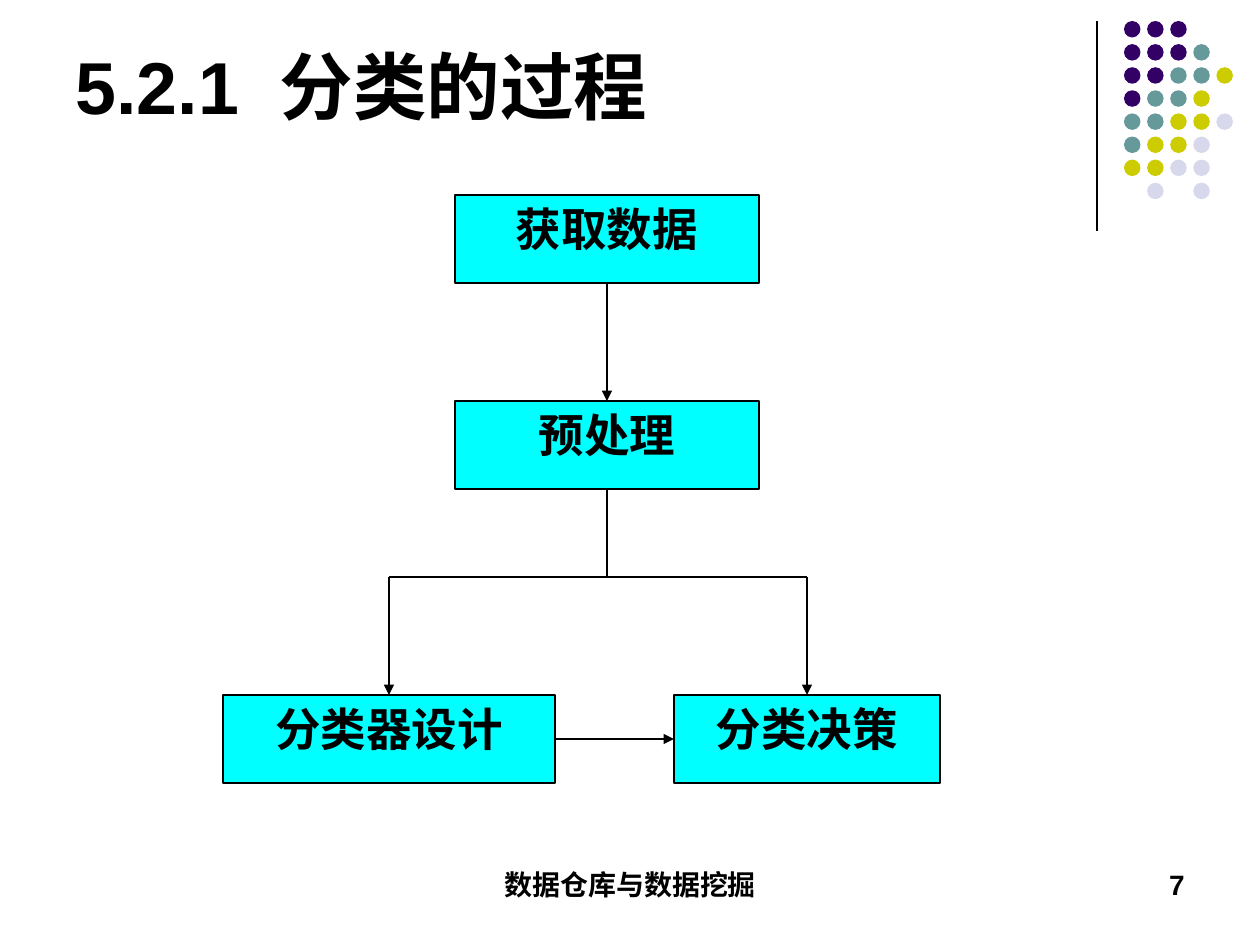
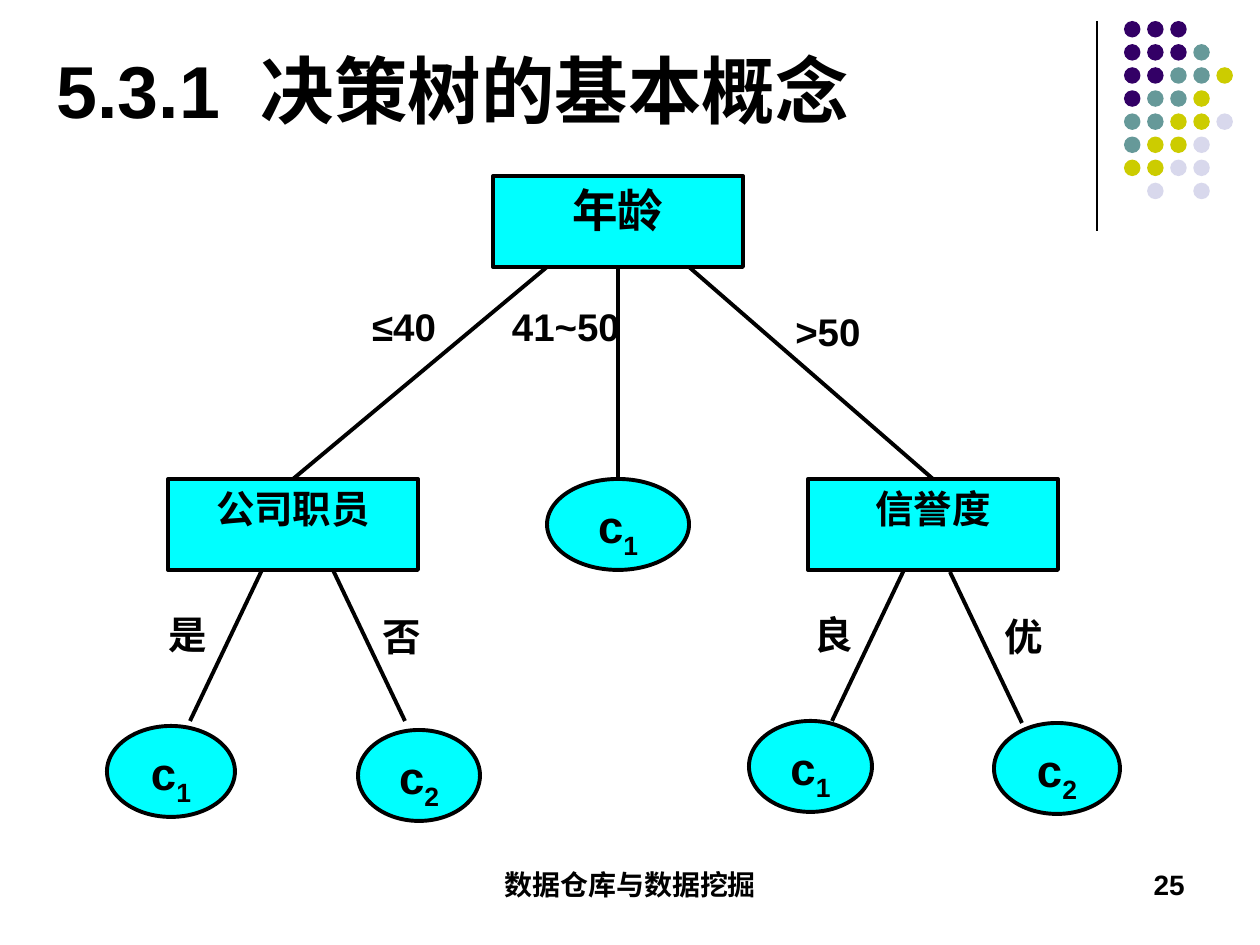
import pptx
import pptx.dml.color
import pptx.enum.shapes
import pptx.enum.text
import pptx.oxml.ns
import pptx.util
from lxml import etree

RGB = pptx.dml.color.RGBColor
SHAPE = pptx.enum.shapes.MSO_SHAPE
ALIGN = pptx.enum.text.PP_ALIGN
ANCHOR = pptx.enum.text.MSO_ANCHOR

BLACK = RGB(0x00, 0x00, 0x00)
CYAN = RGB(0x00, 0xFF, 0xFF)
DOT_COLOURS = {
    "P": RGB(0x33, 0x00, 0x66),
    "T": RGB(0x66, 0x99, 0x99),
    "Y": RGB(0xCC, 0xCC, 0x00),
    "L": RGB(0xD8, 0xD8, 0xEC),
}
DOT_ROWS = ["PPP", "PPPT", "PPTTY", "PTTY", "TTYYL", "TYYL", "YYLL", " L L"]

SANS, SERIF = "Arial", "Times New Roman"
PX_PER_INCH = 126
TOP, LEFT, BOTTOM, RIGHT = range(4)
SUBSCRIPT = {"baseline": "-25000"}
WIDE_SPACE = {"spc": "1150"}


def px(length):
    return round(length * pptx.util.Inches(1) / PX_PER_INCH)


def write(frame, text, size=26, font=SANS, align=ALIGN.CENTER, anchor=ANCHOR.TOP):
    """Fill a frame with a string or with (string, run attributes) pairs."""
    frame.word_wrap = True
    frame.auto_size = pptx.enum.text.MSO_AUTO_SIZE.NONE
    frame.vertical_anchor = anchor
    frame.margin_left = frame.margin_right = pptx.util.Inches(0.1)
    frame.margin_top = frame.margin_bottom = pptx.util.Inches(0.05)
    paragraph = frame.paragraphs[0]
    paragraph.alignment = align
    pieces = [(text, {})] if isinstance(text, str) else text
    for piece, attributes in pieces:
        run = paragraph.add_run()
        run.text = piece
        run.font.name = font
        run.font.size = pptx.util.Pt(size)
        run.font.bold = True
        run.font.color.rgb = BLACK
        for key, value in attributes.items():
            run.font._element.set(key, value)


class Deck:
    def __init__(self):
        self.deck = pptx.Presentation()
        self.deck.slide_width = px(1260)
        self.deck.slide_height = px(945)
        self.stroke = 0.75

    def new_slide(self, section, heading, title_at, number, stroke):
        layout = self.deck.slide_layouts.get_by_name("Title Only")
        self.slide = self.deck.slides.add_slide(layout)
        self.shapes = self.slide.shapes

        # Corner decoration and footer
        self.stroke = 0.75
        self.line((1097, 21), (1097, 231))
        self.dots()
        self.label("数据仓库与数据挖掘", 431, 861, 399, 63, size=16)
        self.label(str(number), 903, 861, 294, 63, size=16, align=ALIGN.RIGHT)
        self.stroke = stroke

        # Title
        title = self.shapes.title
        title.left, title.top = map(px, title_at)
        title.width, title.height = px(1040), px(139)
        write(title.text_frame, [(section, {}), (" ", WIDE_SPACE), (heading, {})],
              size=42, align=ALIGN.LEFT, anchor=ANCHOR.BOTTOM)

    def dots(self, left=1124, top=21, pitch=23.1, diameter=16.5):
        group = self.shapes.add_group_shape()
        for row, codes in enumerate(DOT_ROWS):
            for column, code in enumerate(codes):
                if code in DOT_COLOURS:
                    dot = group.shapes.add_shape(
                        SHAPE.OVAL, px(left + column * pitch), px(top + row * pitch),
                        px(diameter), px(diameter))
                    dot.shadow.inherit = False
                    dot.fill.solid()
                    dot.fill.fore_color.rgb = DOT_COLOURS[code]
                    dot.line.fill.background()

    def label(self, text, x, y, width, height, **style):
        box = self.shapes.add_textbox(px(x), px(y), px(width), px(height))
        write(box.text_frame, text, **style)

    def node(self, text, x, y, width, height, kind=SHAPE.RECTANGLE, font=SERIF, **style):
        node = self.shapes.add_shape(kind, px(x), px(y), px(width), px(height))
        node.shadow.inherit = False
        node.fill.solid()
        node.fill.fore_color.rgb = CYAN
        node.line.color.rgb = BLACK
        node.line.width = pptx.util.Pt(self.stroke)
        write(node.text_frame, text, font=font, **style)
        return node

    def leaf(self, index, x, y, width):
        return self.node([("c", {}), (str(index), SUBSCRIPT)], x, y, width, 91,
                         kind=SHAPE.OVAL, font=SANS)

    def line(self, start, end, arrow=False):
        """Draw a line; each end is an (x, y) point or a (node, side) joint."""
        points = [tuple(map(px, p)) if isinstance(p[0], int) else (0, 0)
                  for p in (start, end)]
        line = self.shapes.add_connector(
            pptx.enum.shapes.MSO_CONNECTOR.STRAIGHT, *points[0], *points[1])
        for joint, connect in ((start, line.begin_connect), (end, line.end_connect)):
            if not isinstance(joint[0], int):
                connect(*joint)
        line.line.color.rgb = BLACK
        line.line.width = pptx.util.Pt(self.stroke)
        qn = pptx.oxml.ns.qn
        if arrow:
            etree.SubElement(line.line._get_or_add_ln(), qn("a:tailEnd"), type="triangle")
        etree.SubElement(line._element.spPr, qn("a:effectLst"))


def classification_process(deck):
    deck.new_slide("5.2.1", "分类的过程", (63, -3), 7, stroke=0.75)

    # Steps
    acquire = deck.node("获取数据", 455, 195, 304, 88)
    preprocess = deck.node("预处理", 455, 401, 304, 88)
    design = deck.node("分类器设计", 223, 695, 332, 88)
    decide = deck.node("分类决策", 674, 695, 266, 88)

    # Flow, with a fork below preprocessing
    fork_y, design_x, decide_x = 577, 389, 807
    deck.line((acquire, BOTTOM), (preprocess, TOP), arrow=True)
    deck.line((preprocess, BOTTOM), (607, fork_y))
    deck.line((design_x, fork_y), (decide_x, fork_y))
    deck.line((design_x, fork_y), (design, TOP), arrow=True)
    deck.line((decide_x, fork_y), (decide, TOP), arrow=True)
    deck.line((design, RIGHT), (decide, LEFT), arrow=True)


def decision_tree(deck):
    deck.new_slide("5.3.1", "决策树的基本概念", (44, 1), 25, stroke=2.25)

    # Tests
    age = deck.node("年龄", 493, 176, 250, 91)
    employee = deck.node("公司职员", 168, 479, 250, 91, size=22)
    credit = deck.node("信誉度", 808, 479, 250, 91, size=22)

    # Classes
    for index, x, y, width in ((1, 107, 726, 128), (2, 358, 730, 122),
                               (1, 749, 721, 123), (2, 994, 723, 126)):
        deck.leaf(index, x, y, width)
    middle_aged = deck.leaf(1, 547, 479, 142)

    # Branches
    deck.line((age, BOTTOM), (middle_aged, TOP))
    deck.line((547, 267), (employee, TOP))
    deck.line((689, 267), (credit, TOP))
    for x, y, shift in ((262, 570, -72), (333, 570, 72), (904, 570, -72), (950, 572, 72)):
        deck.line((x, y), (x + shift, y + 151))

    # Branch values
    for ages, x, y in (("≤40", 297, 297), ("41~50", 459, 297), (">50", 721, 302)):
        deck.label(ages, x, y, 214, 91, size=22)
    for answer, x, y in (("是", 134, 605), ("否", 348, 607),
                         ("良", 780, 605), ("优", 970, 607)):
        deck.label(answer, x, y, 107, 91, size=22, font=SERIF)


def main():
    deck = Deck()
    classification_process(deck)
    decision_tree(deck)
    deck.deck.save("out.pptx")


if __name__ == "__main__":
    main()
